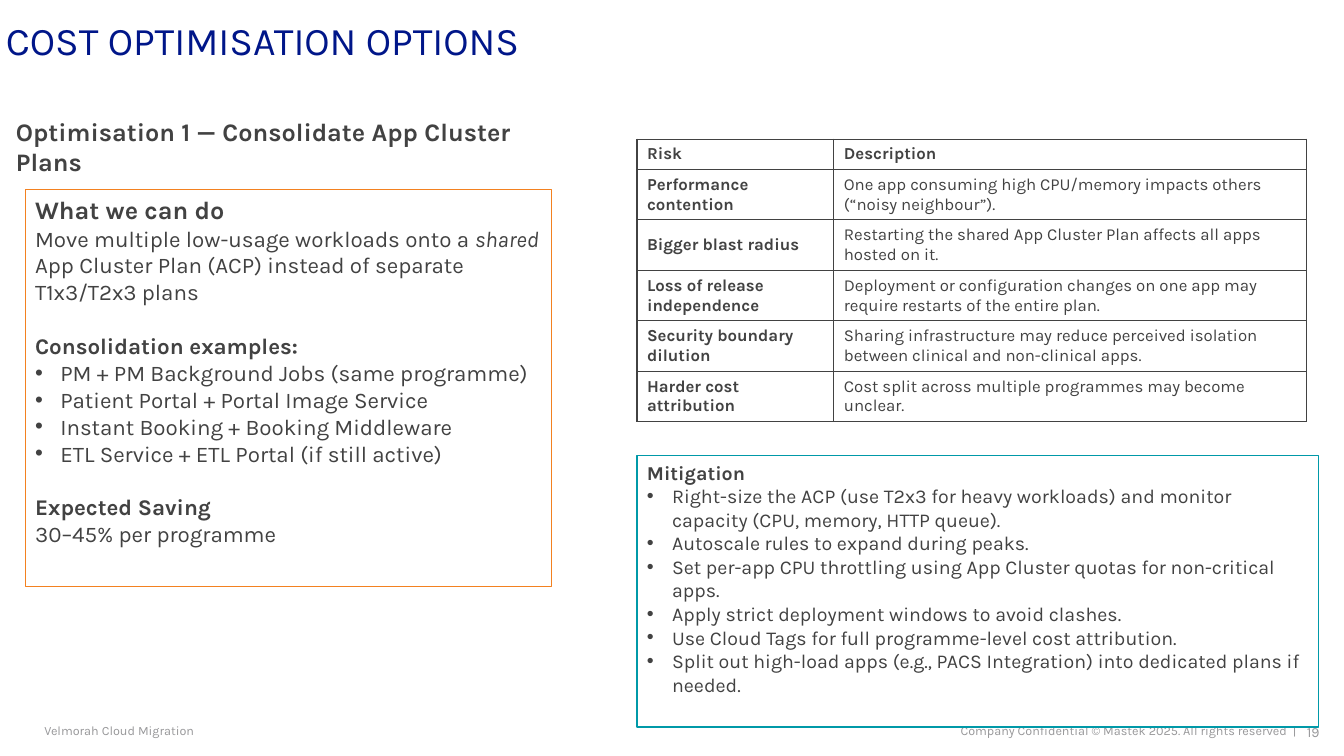
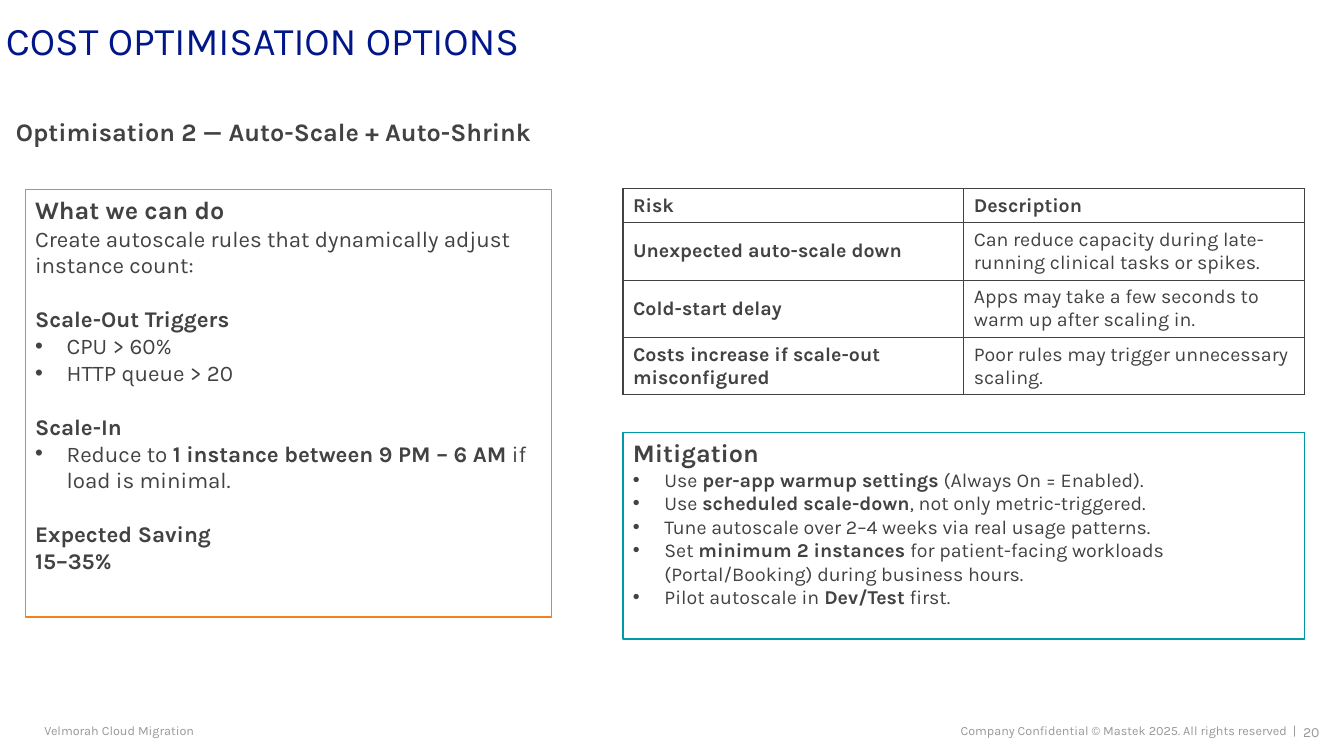
"""Builds two slides on cost optimisation options, each with actions, risks and mitigation."""
import dataclasses

import pptx
import pptx.dml.color
import pptx.enum.shapes
import pptx.enum.text
import pptx.oxml.ns
import pptx.util
from lxml import etree

Pt = pptx.util.Pt
RGB = pptx.dml.color.RGBColor.from_string
ALIGN = pptx.enum.text.PP_ALIGN
ANCHOR = pptx.enum.text.MSO_ANCHOR


@dataclasses.dataclass(frozen=True)
class Theme:
    font: str = "Karla"
    ink: str = "424242"
    muted: str = "98989A"
    paper: str = "FFFFFF"
    navy: str = "001689"
    teal: str = "0099A8"
    orange: str = "F38120"
    title: float = 28
    heading: float = 18
    body: float = 16
    footer: float = 9
    number: float = 10
    line: float = 1
    gap: float = 1.2


T = Theme()
INSETS = (7.2, 3.6, 7.2, 3.6)
NO_INSETS = (0, 0, 0, 0)

TITLE = "COST OPTIMISATION OPTIONS"
PROJECT = "Velmorah Cloud Migration"
COPYRIGHT = "Company Confidential © Mastek 2025. All rights reserved  |"

SLIDES = [
    {
        "number": 19,
        "heading": "Optimisation 1 — Consolidate App Cluster Plans",
        "indent": 18,
        "actions": {
            "at": (18, 135.4, 375.8, 283.7),
            "title": "What we can do",
            "lines": [
                ("text", [("Move multiple low-usage workloads onto a ", ""), ("shared", "i"),
                          (" App Cluster Plan (ACP) instead of separate T1x3/T2x3 plans", "")]),
                ("head", "Consolidation examples:"),
                ("bullet", "PM + PM Background Jobs (same programme)"),
                ("bullet", "Patient Portal + Portal Image Service"),
                ("bullet", "Instant Booking + Booking Middleware"),
                ("bullet", "ETL Service + ETL Portal (if still active)"),
                ("head", "Expected Saving"),
                ("text", "30–45% per programme"),
            ],
        },
        "risks": {
            "at": (455, 99.4),
            "cols": (140.6, 337.6),
            "heights": (21.6, 36),
            "size": 12,
            "rows": [
                ("Performance contention",
                 "One app consuming high CPU/memory impacts others (“noisy neighbour”)."),
                ("Bigger blast radius",
                 "Restarting the shared App Cluster Plan affects all apps hosted on it."),
                ("Loss of release independence",
                 "Deployment or configuration changes on one app may require restarts of the entire plan."),
                ("Security boundary dilution",
                 "Sharing infrastructure may reduce perceived isolation between clinical and non-clinical apps."),
                ("Harder cost attribution",
                 "Cost split across multiple programmes may become unclear."),
            ],
        },
        "mitigation": {
            "at": (455, 325.5, 486.7, 193.7),
            "title_size": 14,
            "lines": [
                "Right-size the ACP (use T2x3 for heavy workloads) and monitor capacity (CPU, memory, HTTP queue).",
                "Autoscale rules to expand during peaks.",
                "Set per-app CPU throttling using App Cluster quotas for non-critical apps.",
                "Apply strict deployment windows to avoid clashes.",
                "Use Cloud Tags for full programme-level cost attribution.",
                "Split out high-load apps (e.g., PACS Integration) into dedicated plans if needed.",
            ],
        },
    },
    {
        "number": 20,
        "heading": "Optimisation 2 — Auto-Scale + Auto-Shrink",
        "indent": 22.5,
        "actions": {
            "at": (18, 135.4, 375.8, 305.3),
            "title": "What we can do",
            "lines": [
                ("text", "Create autoscale rules that dynamically adjust instance count:"),
                ("head", "Scale-Out Triggers"),
                ("bullet", "CPU > 60%"),
                ("bullet", "HTTP queue > 20"),
                ("head", "Scale-In"),
                ("bullet", [("Reduce to ", ""), ("1 instance between 9 PM – 6 AM", "b"),
                            (" if load is minimal.", "")]),
                ("head", "Expected Saving"),
                ("text", [("15–35%", "b")]),
            ],
        },
        "risks": {
            "at": (445, 134.6),
            "cols": (243.4, 243.4),
            "heights": (24.5, 41),
            "size": 14,
            "rows": [
                ("Unexpected auto-scale down",
                 "Can reduce capacity during late-running clinical tasks or spikes."),
                ("Cold-start delay",
                 "Apps may take a few seconds to warm up after scaling in."),
                ("Costs increase if scale-out misconfigured",
                 "Poor rules may trigger unnecessary scaling."),
            ],
        },
        "mitigation": {
            "at": (445, 308.9, 486.7, 147.6),
            "title_size": 18,
            "lines": [
                [("Use ", ""), ("per-app warmup settings", "b"), (" (Always On = Enabled).", "")],
                [("Use ", ""), ("scheduled scale-down", "b"), (", not only metric-triggered.", "")],
                "Tune autoscale over 2–4 weeks via real usage patterns.",
                [("Set ", ""), ("minimum 2 instances", "b"),
                 (" for patient-facing workloads (Portal/Booking) during business hours.", "")],
                [("Pilot autoscale in ", ""), ("Dev/Test", "b"), (" first.", "")],
            ],
        },
    },
]


def add_xml(parent, tag, **attrs):
    return etree.SubElement(parent, pptx.oxml.ns.qn(tag), attrs)


def style(r, size, color=T.ink, bold=False, italic=False):
    r.font.name = T.font
    r.font.size = Pt(size)
    r.font.bold = bold
    r.font.italic = italic
    r.font.fill.solid()
    r.font.fill.fore_color.rgb = RGB(color)


def set_frame(tf, insets, anchor):
    tf.word_wrap = True
    tf.vertical_anchor = anchor
    tf.margin_left, tf.margin_top, tf.margin_right, tf.margin_bottom = map(Pt, insets)


def add_label(s, at, text, size, color=T.ink, bold=False, align=ALIGN.LEFT,
              insets=NO_INSETS, anchor=ANCHOR.MIDDLE):
    tf = s.shapes.add_textbox(*map(Pt, at)).text_frame
    set_frame(tf, insets, anchor)
    p = tf.paragraphs[0]
    p.text = text
    p.alignment = align
    style(p.runs[0], size, color, bold)
    return p


def add_frame(s, spec_number, heading):
    add_label(s, (31.7, 513.4, 268.6, 17.3), PROJECT, T.footer, T.muted)
    add_label(s, (924.5, 513.4, 18, 19.4), str(spec_number), T.number, T.muted,
              align=ALIGN.RIGHT, insets=(0, 3.6, 0, 3.6), anchor=ANCHOR.TOP)
    add_label(s, (568.8, 513.4, 357.1, 17.3), COPYRIGHT, T.footer, T.muted, align=ALIGN.RIGHT)
    p = add_label(s, (4.3, 10.8, 861.8, 34.6), TITLE, T.title, anchor=ANCHOR.BOTTOM)
    p.line_spacing = 0.9
    fill = p.runs[0].font.fill
    fill.gradient()
    fill.gradient_angle = 315
    for stop, color in zip(fill.gradient_stops, (T.navy, T.teal)):
        stop.color.rgb = RGB(color)
    add_label(s, (4.3, 79.2, 416.2, 28.8), heading, T.heading, bold=True,
              insets=INSETS, anchor=ANCHOR.TOP)


def add_box(s, at, color, title, title_size, lines, size, indent):
    sp = s.shapes.add_shape(pptx.enum.shapes.MSO_SHAPE.RECTANGLE, *map(Pt, at))
    sp.shadow.inherit = False
    sp.fill.solid()
    sp.fill.fore_color.rgb = RGB(T.paper)
    sp.line.color.rgb = RGB(color)
    sp.line.width = Pt(T.line)
    tf = sp.text_frame
    set_frame(tf, INSETS, ANCHOR.TOP)
    p = tf.paragraphs[0]
    p.text = title
    p.alignment = ALIGN.LEFT
    style(p.runs[0], title_size, bold=True)
    for kind, content in lines:
        p = tf.add_paragraph()
        p.alignment = ALIGN.LEFT
        if kind == "head":
            p.space_before = Pt(size * T.gap)
        if kind == "bullet":
            pPr = p._p.get_or_add_pPr()
            pPr.set("marL", str(Pt(indent)))
            pPr.set("indent", str(-Pt(indent)))
            add_xml(pPr, "a:buFont", typeface="Arial")
            add_xml(pPr, "a:buChar", char="•")
        runs = [(content, "b" if kind == "head" else "")] if isinstance(content, str) else content
        for text, mark in runs:
            r = p.add_run()
            r.text = text
            style(r, size, bold=mark == "b", italic=mark == "i")


def set_borders(cell):
    tcPr = cell._tc.get_or_add_tcPr()
    for i, side in enumerate(("a:lnL", "a:lnR", "a:lnT", "a:lnB")):
        ln = etree.Element(pptx.oxml.ns.qn(side), w=str(Pt(T.line)))
        add_xml(add_xml(ln, "a:solidFill"), "a:srgbClr", val=T.ink)
        tcPr.insert(i, ln)


def add_risks(s, at, cols, heights, size, rows):
    rows = [("Risk", "Description"), *rows]
    row_heights = [heights[0]] + [heights[1]] * (len(rows) - 1)
    area = (*at, sum(cols), sum(row_heights))
    table = s.shapes.add_table(len(rows), len(cols), *map(Pt, area)).table
    table.first_row = table.horz_banding = False
    for column, width in zip(table.columns, cols):
        column.width = Pt(width)
    for i, (row, height) in enumerate(zip(rows, row_heights)):
        table.rows[i].height = Pt(height)
        for j, text in enumerate(row):
            cell = table.cell(i, j)
            cell.fill.background()
            cell.vertical_anchor = ANCHOR.MIDDLE
            cell.text = text
            style(cell.text_frame.paragraphs[0].runs[0], size, bold=i == 0 or j == 0)
            set_borders(cell)


def main():
    prs = pptx.Presentation()
    prs.slide_width, prs.slide_height = Pt(960), Pt(540)
    for content in SLIDES:
        s = prs.slides.add_slide(prs.slide_layouts[6])
        add_frame(s, content["number"], content["heading"])
        actions, mitigation = content["actions"], content["mitigation"]
        add_box(s, actions["at"], T.orange, actions["title"], T.heading,
                actions["lines"], T.body, content["indent"])
        add_risks(s, **content["risks"])
        add_box(s, mitigation["at"], T.teal, "Mitigation", mitigation["title_size"],
                [("bullet", line) for line in mitigation["lines"]], 14, content["indent"])
    prs.save("out.pptx")


if __name__ == "__main__":
    main()
